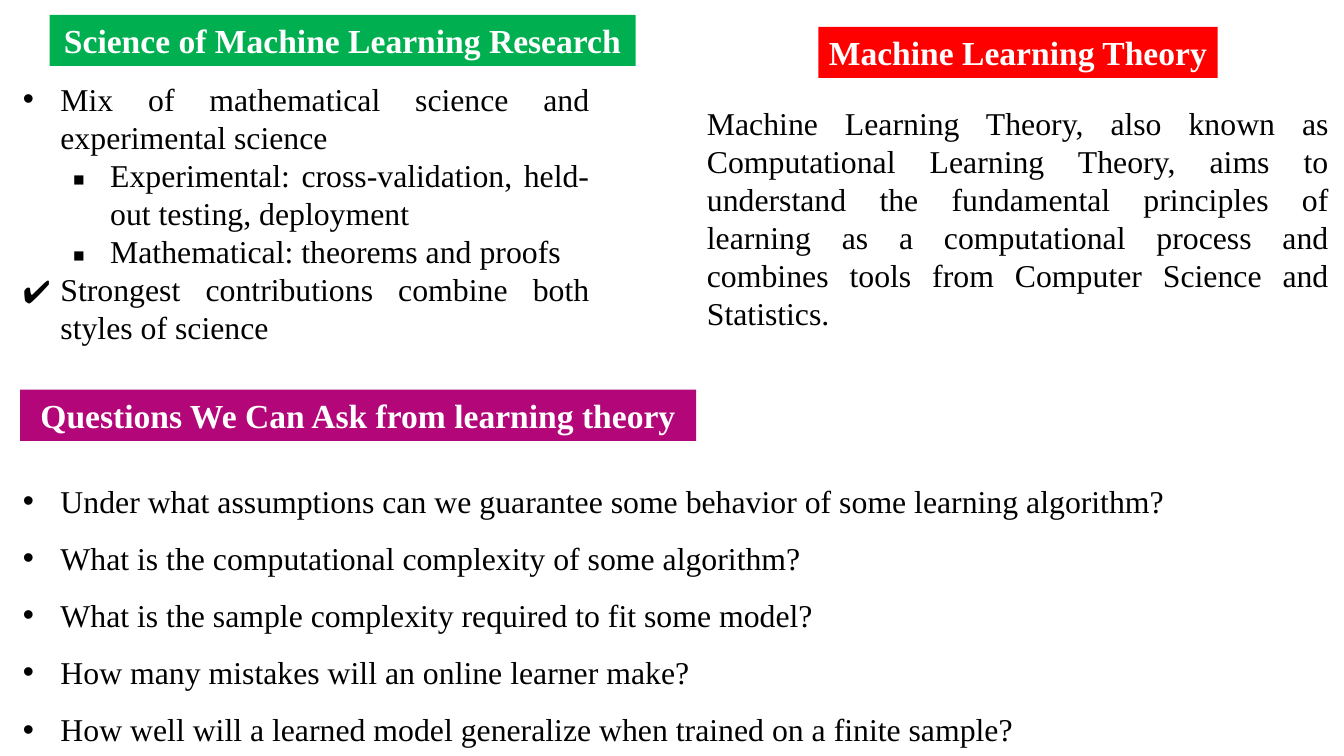
from lxml.etree import SubElement
from pptx import Presentation
from pptx.dml.color import RGBColor
from pptx.enum.shapes import MSO_SHAPE
from pptx.enum.text import MSO_AUTO_SIZE, PP_ALIGN
from pptx.oxml.ns import qn
from pptx.util import Inches, Pt

COLORS = {
    "text": "000000",
    "banner_text": "FFFFFF",
    "science": "00B050",
    "theory": "FF0000",
    "questions": "B20679",
}
BULLET_FONTS = {"•": "Arial", "▪": "Noto Sans Symbols", "✔": "Noto Sans Symbols"}


def rgb(name):
    return RGBColor.from_string(COLORS[name])


def write(p, text, size=17, color="text", bold=False, align=PP_ALIGN.JUSTIFY,
          spacing=None, bullet=None, level=0):
    """Fill a paragraph; a bullet also gets the hanging indent of its level."""
    p.alignment = align
    p.level = level
    if spacing:
        p.line_spacing = spacing
    r = p.add_run()
    r.text = text
    r.font.name = "Times New Roman"
    r.font.size = Pt(size)
    r.font.bold = bold
    r.font.color.rgb = rgb(color)
    if bullet:
        pPr = p._p.get_or_add_pPr()
        pPr.set("marL", str(Inches((0.28, 0.65)[level])))
        pPr.set("indent", str(Inches(-0.28)))
        clr = SubElement(pPr, qn("a:buClr"))
        SubElement(clr, qn("a:srgbClr"), val=COLORS[color])
        SubElement(pPr, qn("a:buFont"), typeface=BULLET_FONTS[bullet])
        SubElement(pPr, qn("a:buChar"), char=bullet)


class SlideBuilder:
    def __init__(self, slide):
        self.s = slide

    def frame(self, sp):
        tf = sp.text_frame
        tf.word_wrap = True
        tf.auto_size = MSO_AUTO_SIZE.SHAPE_TO_FIT_TEXT
        tf.margin_left = tf.margin_right = Inches(0.07)
        tf.margin_top = tf.margin_bottom = Inches(0.04)
        return tf

    def banner(self, text, left, top, width, fill):
        sp = self.s.shapes.add_shape(MSO_SHAPE.RECTANGLE, Inches(left), Inches(top),
                                     Inches(width), Inches(0.38))
        sp.shadow.inherit = False
        sp.fill.solid()
        sp.fill.fore_color.rgb = rgb(fill)
        sp.line.fill.background()
        write(self.frame(sp).paragraphs[0], text, size=18, color="banner_text",
              bold=True, align=PP_ALIGN.CENTER)

    def body(self, items, left, top, width, height, spacing=None):
        """Add a text box from (text, bullet, level) items."""
        sp = self.s.shapes.add_textbox(Inches(left), Inches(top),
                                       Inches(width), Inches(height))
        tf = self.frame(sp)
        for i, (text, bullet, level) in enumerate(items):
            p = tf.add_paragraph() if i else tf.paragraphs[0]
            write(p, text, spacing=spacing, bullet=bullet, level=level)


THEORY = [(
    "Machine Learning Theory, also known as Computational Learning Theory, aims to "
    "understand the fundamental principles of learning as a computational process "
    "and combines tools from Computer Science and Statistics. ", None, 0)]

SCIENCE = [
    ("Mix of mathematical science and experimental science", "•", 0),
    ("Experimental: cross-validation, held-out testing, deployment", "▪", 1),
    ("Mathematical: theorems and proofs", "▪", 1),
    ("Strongest contributions combine both styles of science", "✔", 0),
]

QUESTIONS = [
    "Under what assumptions can we guarantee some behavior of some learning algorithm?",
    "What is the computational complexity of some algorithm?",
    "What is the sample complexity required to fit some model?",
    "How many mistakes will an online learner make?",
    "How well will a learned model generalize when trained on a finite sample?",
]


def main():
    prs = Presentation()
    prs.slide_width = Inches(10)
    prs.slide_height = Inches(10 * 9 / 16)
    page = SlideBuilder(prs.slides.add_slide(prs.slide_layouts[6]))

    page.banner("Machine Learning Theory", 6.09, 0.2, 2.97, "theory")
    page.body(THEORY, 5.19, 0.73, 4.77, 1.46)
    page.body(SCIENCE, 0.1, 0.55, 4.36, 2.02)
    page.banner("Science of Machine Learning Research", 0.37, 0.11, 4.36, "science")
    page.body([(q, "•", 0) for q in QUESTIONS], 0.1, 3.4, 9.17, 2.11, spacing=1.5)
    page.banner("Questions We Can Ask from learning theory", 0.15, 2.9, 5.03, "questions")

    prs.save("out.pptx")


if __name__ == "__main__":
    main()
